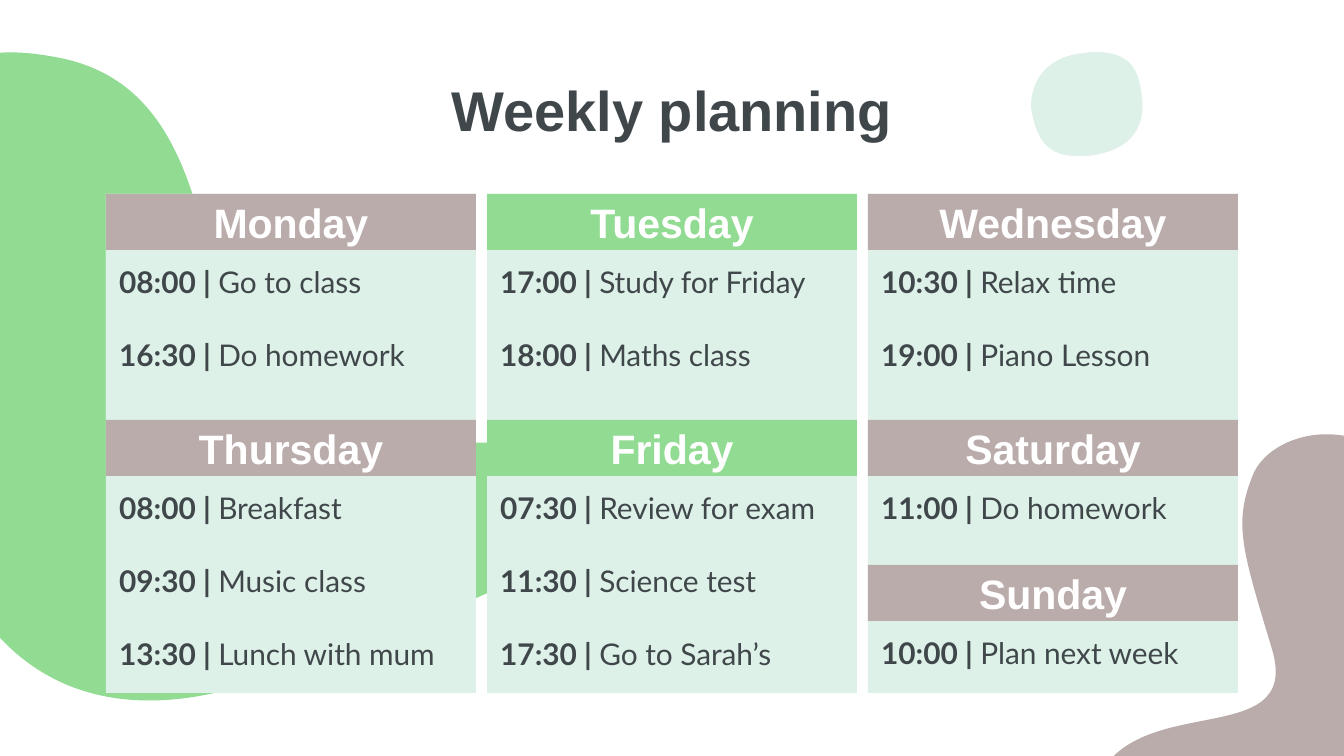
import dataclasses
import math
import typing

import lxml.etree
import pptx
import pptx.dml.color
import pptx.enum.shapes
import pptx.enum.text
import pptx.oxml.ns
import pptx.util

PX = pptx.util.Inches(10) / 1344
GREEN, MAUVE, MINT = "91DB92", "BBACAC", "DEF1E8"
INK, WHITE = "40474B", "FFFFFF"
HEADING_FONT, BODY_FONT = "Arial", "Lato"
COLUMN_LEFT, COLUMN_STEP, COLUMN_WIDTH = 106, 381, 370
CARD_TOP, CARD_HEIGHT, SHORT_CARD_HEIGHT = 194, 499, 226
HEADER_HEIGHT, EVENT_HEIGHT, EVENT_STEP = 56, 55, 73

Point = tuple[int, int]
Curve = tuple[Point, Point, Point]


@dataclasses.dataclass
class Blob:
    color: str
    rotation: float
    center: Point
    start: Point
    curves: list[Curve]


@dataclasses.dataclass
class Day:
    name: str
    column: int
    top: int
    color: str
    events: list[tuple[str, str]]


BLOBS = [
    Blob(GREEN, 90, (229, 396), (558, 526), [
        ((558, 516), (554, 504), (547, 491)),
        ((513, 421), (488, 446), (362, 454)),
        ((155, 468), (278, 99), (58, 58)),
        ((-60, 35), (-99, 89), (-99, 234)),
        ((-99, 278), (-97, 329), (-90, 390)),
        ((-65, 653), (70, 757), (284, 672)),
        ((464, 601), (558, 582), (558, 526)),
    ]),
    Blob(MAUVE, 71.2, (1258, 696), (1255, 473), [
        ((1234, 523), (1242, 547), (1273, 650)),
        ((1304, 755), (1130, 687), (1095, 788)),
        ((1062, 890), (1204, 978), (1310, 942)),
        ((1417, 906), (1531, 722), (1466, 558)),
        ((1400, 395), (1278, 425), (1255, 473)),
    ]),
    Blob(MINT, 0, (1090, 104), (1095, 52), [
        ((1093, 52), (1089, 52), (1085, 53)),
        ((1048, 56), (1031, 79), (1031, 107)),
        ((1036, 140), (1048, 156), (1077, 156)),
        ((1081, 156), (1084, 156), (1087, 156)),
        ((1124, 152), (1149, 134), (1141, 90)),
        ((1137, 63), (1124, 52), (1095, 52)),
    ]),
]

DAYS = [
    Day("Monday", 0, 194, MAUVE, [("08:00", "Go to class"), ("16:30", "Do homework")]),
    Day("Tuesday", 1, 194, GREEN, [("17:00", "Study for Friday"), ("18:00", "Maths class")]),
    Day("Thursday", 0, 420, MAUVE,
        [("08:00", "Breakfast"), ("09:30", "Music class"), ("13:30", "Lunch with mum")]),
    Day("Friday", 1, 420, GREEN,
        [("07:30", "Review for exam"), ("11:30", "Science test"), ("17:30", "Go to Sarah’s")]),
    Day("Wednesday", 2, 194, MAUVE, [("10:30", "Relax time"), ("19:00", "Piano Lesson")]),
    Day("Saturday", 2, 420, MAUVE, [("11:00", "Do homework")]),
    Day("Sunday", 2, 565, MAUVE, [("10:00", "Plan next week")]),
]


def emu(pixels: float) -> int:
    return round(pixels * PX)


def rgb(color: str) -> pptx.dml.color.RGBColor:
    return pptx.dml.color.RGBColor.from_string(color)


def paint(shape: typing.Any, color: str) -> None:
    shape.shadow.inherit = False
    shape.fill.solid()
    shape.fill.fore_color.rgb = rgb(color)
    shape.line.fill.background()


def turn_back(point: Point, blob: Blob) -> Point:
    angle = math.radians(blob.rotation)
    x, y = point[0] - blob.center[0], point[1] - blob.center[1]
    return (emu(blob.center[0] + x * math.cos(angle) + y * math.sin(angle)),
            emu(blob.center[1] - x * math.sin(angle) + y * math.cos(angle)))


def bend_lines(shape: typing.Any) -> None:
    lines = list(shape._element.iter(pptx.oxml.ns.qn("a:lnTo")))
    for first in range(0, len(lines), 3):
        bend = lxml.etree.Element(pptx.oxml.ns.qn("a:cubicBezTo"))
        lines[first].addprevious(bend)
        for line in lines[first:first + 3]:
            bend.append(line[0])
            line.getparent().remove(line)


def draw_blob(page: typing.Any, blob: Blob) -> None:
    start = turn_back(blob.start, blob)
    builder = page.shapes.build_freeform(start[0], start[1])
    points = [turn_back(point, blob) for curve in blob.curves for point in curve]
    builder.add_line_segments(points, close=True)
    shape = builder.convert_to_shape()
    bend_lines(shape)
    shape.rotation = blob.rotation
    paint(shape, blob.color)


def draw_rectangle(page: typing.Any, left: int, top: int, width: int, height: int,
                   color: str) -> typing.Any:
    box = page.shapes.add_shape(pptx.enum.shapes.MSO_SHAPE.RECTANGLE,
                                emu(left), emu(top), emu(width), emu(height))
    paint(box, color)
    return box


def draw_card(page: typing.Any, column: int, height: int) -> None:
    draw_rectangle(page, COLUMN_LEFT + column * COLUMN_STEP, CARD_TOP, COLUMN_WIDTH, height, MINT)


def draw_text_box(page: typing.Any, left: int, top: int, width: int, height: int) -> typing.Any:
    return page.shapes.add_textbox(emu(left), emu(top), emu(width), emu(height))


def prepare_text(box: typing.Any, anchor: typing.Any, alignment: typing.Any) -> typing.Any:
    frame = box.text_frame
    frame.word_wrap = True
    frame.vertical_anchor = anchor
    frame.margin_left = frame.margin_right = pptx.util.Inches(0.1)
    frame.margin_top = frame.margin_bottom = pptx.util.Inches(0.1)
    para = frame.paragraphs[0]
    para.alignment = alignment
    return para


def add_span(para: typing.Any, text: str, size: int, font: str, color: str, bold: bool) -> None:
    span = para.add_run()
    span.text = text
    span.font.size = pptx.util.Pt(size)
    span.font.name = font
    span.font.color.rgb = rgb(color)
    span.font.bold = bold


def draw_day(page: typing.Any, day: Day) -> None:
    left = COLUMN_LEFT + day.column * COLUMN_STEP
    header = draw_rectangle(page, left, day.top, COLUMN_WIDTH, HEADER_HEIGHT, day.color)
    para = prepare_text(header, pptx.enum.text.MSO_ANCHOR.MIDDLE, pptx.enum.text.PP_ALIGN.CENTER)
    add_span(para, day.name, 22, HEADING_FONT, WHITE, True)
    for index, (time, activity) in enumerate(day.events):
        top = day.top + HEADER_HEIGHT + index * EVENT_STEP
        box = draw_text_box(page, left, top, COLUMN_WIDTH, EVENT_HEIGHT)
        para = prepare_text(box, pptx.enum.text.MSO_ANCHOR.TOP, pptx.enum.text.PP_ALIGN.LEFT)
        para.space_after = pptx.util.Pt(16)
        add_span(para, f"{time} | ", 16, BODY_FONT, INK, True)
        add_span(para, activity, 16, BODY_FONT, INK, False)


def main() -> None:
    deck = pptx.Presentation()
    deck.slide_width, deck.slide_height = emu(1344), emu(756)
    page = deck.slides.add_slide(deck.slide_layouts[6])
    for blob in BLOBS:
        draw_blob(page, blob)
    draw_card(page, 0, CARD_HEIGHT)
    draw_card(page, 0, SHORT_CARD_HEIGHT)
    for column in (2, 1):
        draw_card(page, column, CARD_HEIGHT)
    title = draw_text_box(page, 105, 77, 1134, 79)
    para = prepare_text(title, pptx.enum.text.MSO_ANCHOR.BOTTOM, pptx.enum.text.PP_ALIGN.CENTER)
    add_span(para, "Weekly planning", 30, HEADING_FONT, INK, True)
    for day in DAYS:
        draw_day(page, day)
    deck.save("out.pptx")


if __name__ == "__main__":
    main()
